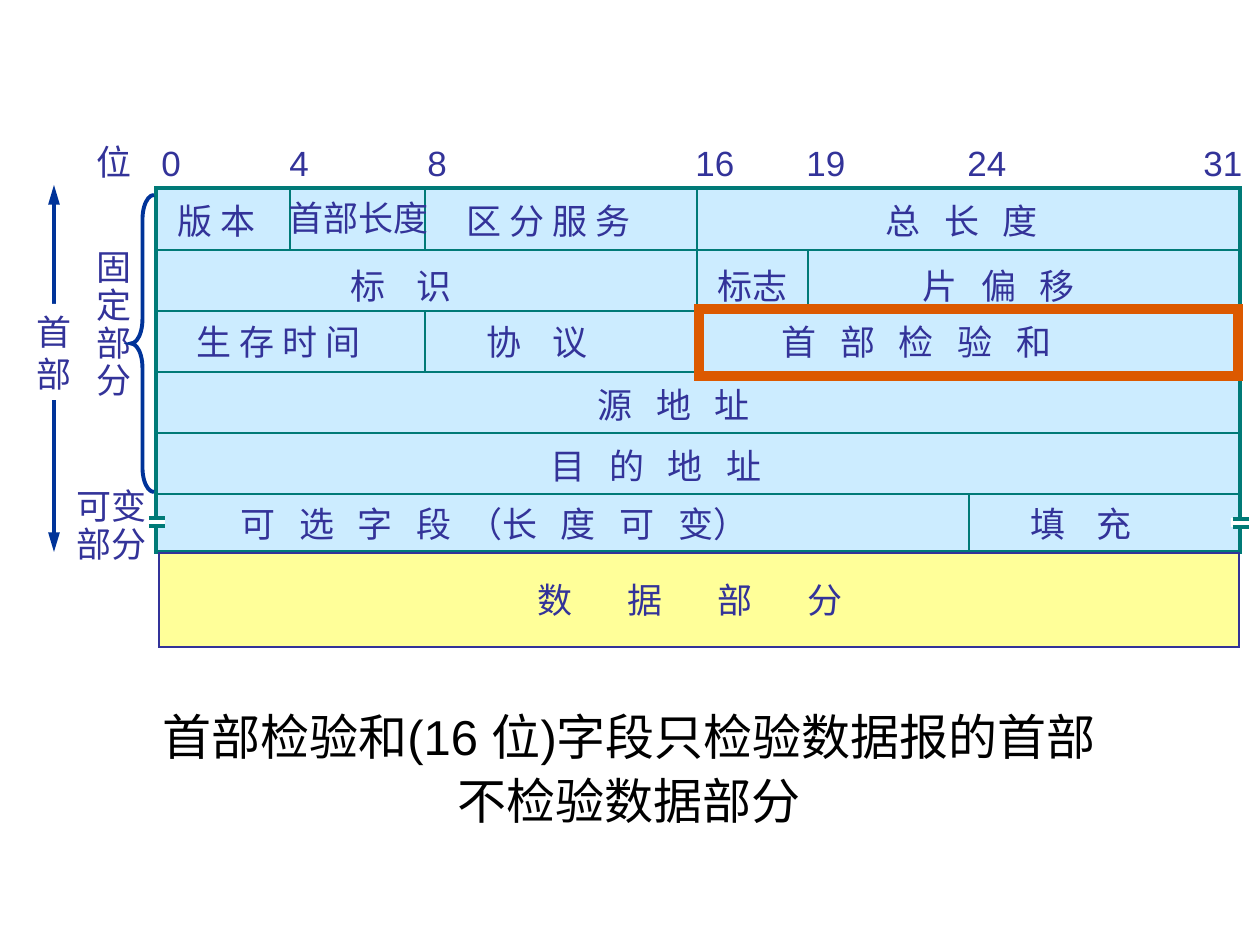
"""Build a slide on the IP datagram header and its checksum field."""
from lxml import etree
from pptx import Presentation
from pptx import util as u
from pptx.dml.color import RGBColor
from pptx.enum import shapes, text
from pptx.oxml.ns import qn

PX = u.Inches(1) / 126
COLORS = {
    "ink": "333399", "grid": "007A77", "header": "CCECFF", "data": "FFFF99",
    "arrow": "003399", "mark": "DC5900", "paper": "FFFFFF", "black": "000000",
}
SPACE_PT = 4.5
LEFT, RIGHT, TOP, ROW = 156, 1241, 189, 61
BITS = {"0": 149, "4": 277, "8": 415, "16": 683, "19": 794, "24": 955, "31": 1191}
COLUMNS = [(290, 0, 1), (425, 0, 1), (425, 2, 3), (697, 0, 3), (808, 1, 2), (969, 5, 6)]
FIELD_ROWS = [
    (193, [("版 本", 1, 165, 112), ("区 分 服 务", 1, 454, 218), ("总 长 度", 3, 873, 236)]),
    (190, [("首部长度", 1, 276, 175)]),
    (258, [("标 识", 4, 338, 165), ("标志", 1, 705, 100), ("片 偏 移", 3, 910, 236)]),
    (314, [("生 存 时 间", 1, 184, 218), ("协 议", 4, 474, 165),
           ("首 部 检 验 和", 3, 769, 411)]),
    (377, [("源 地 址", 3, 585, 236)]),
    (438, [("目 的 地 址", 3, 538, 323)]),
    (496, [("可 选 字 段 （长 度 可 变）", 3, 228, 726), ("填 充", 4, 1018, 165)]),
    (572, [("数 据 部 分", 7, 525, 401)]),
]


def px(*lengths):
    """Turn pixel lengths into EMU."""
    return [u.Emu(round(length * PX)) for length in lengths]


def color(name):
    """Look up a palette colour."""
    return RGBColor.from_string(COLORS[name])


def add_span(para, words, size, ink, spacing=0):
    """Add one formatted run, with extra letter spacing in points."""
    span = para.add_run()
    span.text = words
    span.font.size = u.Pt(size)
    span.font.name = "Arial"
    span.font.color.rgb = color(ink)
    if spacing:
        span._r.get_or_add_rPr().set("spc", str(round(spacing * 100)))


def add_words(para, line, gap, size, ink):
    """Add a line of words whose gaps are as wide as the given count of spaces."""
    if gap == 1:
        add_span(para, line, size, ink)
        return
    for index, word in enumerate(line.split(" ")):
        if index:
            extra = gap - 1 - word.startswith("（")
            add_span(para, " ", size, ink, extra * SPACE_PT)
        add_span(para, word, size, ink)


def add_label(page, lines, at, gap=1, size=20, ink="ink", leading=None, align=None, fill=None):
    """Add a text box with one paragraph for each line."""
    box = page.shapes.add_textbox(*px(*at))
    if fill:
        box.fill.solid()
        box.fill.fore_color.rgb = color(fill)
    frame = box.text_frame
    frame.word_wrap = False
    frame.auto_size = text.MSO_AUTO_SIZE.SHAPE_TO_FIT_TEXT
    for index, line in enumerate(lines):
        para = frame.add_paragraph() if index else frame.paragraphs[0]
        para.alignment = align
        para.line_spacing = leading
        add_words(para, line, gap, size, ink)


def add_block(page, at, fill=None, line=None, width=1, kind=shapes.MSO_SHAPE.RECTANGLE):
    """Add a preset shape with optional fill and sharp-cornered outline."""
    block = page.shapes.add_shape(kind, *px(*at))
    block.shadow.inherit = False
    if fill:
        block.fill.solid()
        block.fill.fore_color.rgb = color(fill)
    else:
        block.fill.background()
    if line:
        block.line.color.rgb = color(line)
        block.line.width = u.Pt(width)
        etree.SubElement(block.line._get_or_add_ln(), qn("a:miter"), lim="800000")
    else:
        block.line.fill.background()
    return block


def add_line(page, ends, line="grid", width=1, arrows=False):
    """Add a straight line, with arrowheads at both ends if asked."""
    rule = page.shapes.add_connector(shapes.MSO_CONNECTOR.STRAIGHT, *px(*ends))
    rule.line.color.rgb = color(line)
    rule.line.width = u.Pt(width)
    if arrows:
        for end in ("a:headEnd", "a:tailEnd"):
            etree.SubElement(rule.line._get_or_add_ln(), qn(end), type="triangle", len="lg")
    etree.SubElement(rule._element.spPr, qn("a:effectLst"))


def add_break(page, left, top):
    """Add a break mark across a side of the header."""
    add_block(page, (left, top, 18, 9), fill="paper")
    for y in (top + 1, top + 9):
        add_line(page, (left + 2, y, left + 18, y), width=2)


def add_grid(page):
    """Add the header and data blocks with their dividing lines."""
    add_block(page, (LEFT, 188, 1084, 364), "header", "grid", 2)
    for row in range(1, 6):
        y = TOP + row * ROW
        add_line(page, (LEFT, y, RIGHT, y))
    for x, first, last in COLUMNS:
        add_line(page, (x, TOP + first * ROW, x, TOP + last * ROW))
    add_block(page, (159, 553, 1080, 94), "data", "ink")


def add_side(page):
    """Add the extent arrow, brace and part names on the left."""
    add_line(page, (54, 185, 54, 552), "arrow", 2.25, arrows=True)
    add_label(page, ["首", "部"], (24, 304, 60, 96), fill="paper")
    add_label(page, ["固", "定", "部", "分"], (84, 244, 60, 164), leading=0.9)
    add_label(page, ["可变", "部分"], (64, 483, 96, 88), leading=0.9)
    brace = add_block(page, (131, 195, 23, 297), line="arrow", width=2.25,
                      kind=shapes.MSO_SHAPE.LEFT_BRACE)
    brace.adjustments[0] = 1.06


def main():
    """Build and save the deck."""
    deck = Presentation()
    deck.slide_width, deck.slide_height = px(1260, 945)
    page = deck.slides.add_slide(deck.slide_layouts[6])
    add_grid(page)
    add_label(page, ["位"], (84, 134, 60, 54))
    for bit, left in BITS.items():
        add_label(page, [bit], (left, 135, 24 + 20 * len(bit), 54))
    for top, fields in FIELD_ROWS:
        for name, gap, left, width in fields:
            add_label(page, [name], (left, top, width, 54), gap)
    add_break(page, 147, 517)
    add_break(page, 1231, 518)
    add_side(page)
    add_label(page, ["首部检验和(16 位)字段只检验数据报的首部", "不检验数据部分"],
              (114, 694, 1030, 142), size=28, ink="black", leading=1.1,
              align=text.PP_ALIGN.CENTER)
    add_block(page, (699, 309, 539, 67), line="mark", width=6)
    deck.save("out.pptx")


if __name__ == "__main__":
    main()
